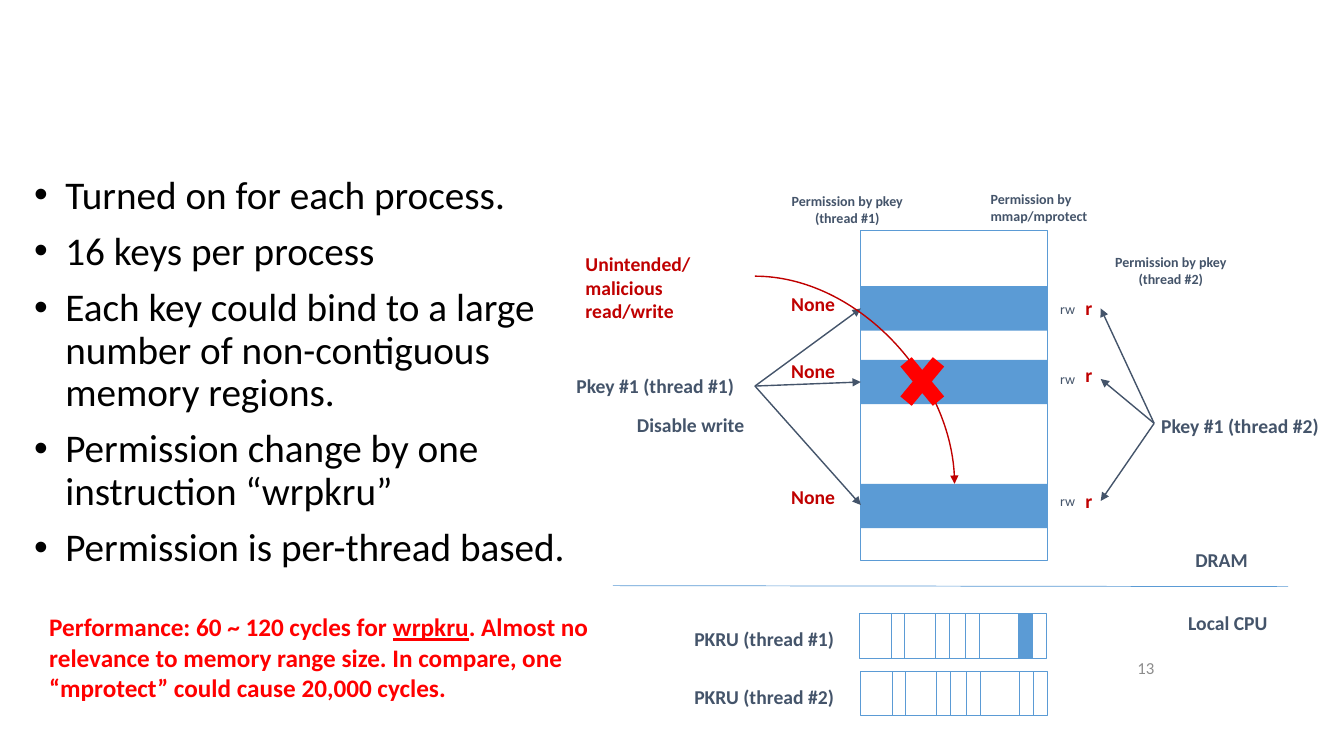
from dataclasses import dataclass

from lxml import etree
from pptx import Presentation
from pptx.dml.color import RGBColor
from pptx.enum.shapes import MSO_CONNECTOR, MSO_SHAPE
from pptx.enum.text import MSO_ANCHOR, MSO_AUTO_SIZE, PP_ALIGN
from pptx.oxml.ns import qn
from pptx.util import Inches, Pt

STRAIGHT, CURVE = MSO_CONNECTOR.STRAIGHT, MSO_CONNECTOR.CURVE
RECTANGLE, CROSS = MSO_SHAPE.RECTANGLE, MSO_SHAPE.MATH_MULTIPLY
MIDDLE = MSO_ANCHOR.MIDDLE
GROW, FIXED = MSO_AUTO_SIZE.SHAPE_TO_FIT_TEXT, MSO_AUTO_SIZE.NONE
LEFT, CENTER, RIGHT = PP_ALIGN.LEFT, PP_ALIGN.CENTER, PP_ALIGN.RIGHT

COLORS = {
    "black": "000000", "white": "FFFFFF", "gray": "8C8C8C", "slate": "44546A",
    "blue": "5B9BD5", "crimson": "C00000", "red": "FF0000",
}
FONT = "Calibri"
COLUMNS, ROWS = 160, 90
SLIDE_WIDTH, SLIDE_HEIGHT = Inches(13.33), Inches(7.5)
INDENT = Inches(0.31)


@dataclass(frozen=True)
class Area:
    """Cell range: left column, top row, columns wide, rows high."""
    left: float
    top: float
    width: float
    height: float


@dataclass(frozen=True)
class Label:
    """Text with one style; each line is a paragraph."""
    area: Area
    lines: tuple[str, ...]
    size: int = 14
    color: str = "slate"
    bold: bool = True
    align: PP_ALIGN = LEFT
    underlined: str = ""
    bullets: bool = False


@dataclass(frozen=True)
class Region:
    """Top rows of a protected memory region and of its labels and arrow ends."""
    band: float
    mapping: float
    denied: float
    readable: float
    first_tip: float
    second_tip: float


@dataclass(frozen=True)
class Register:
    """Key register, with the columns of its slots and the filled one."""
    left: float
    top: float
    active_slot: int | None


@dataclass(frozen=True)
class Slot:
    """Key slot as an offset and a width in columns."""
    offset: float
    width: float
    fill: str | None = None


REGIONS = (
    Region(34.08, 35.16, 34.2, 34.68, 36.72, 36.72),
    Region(42.84, 43.56, 42.12, 42.6, 45.48, 45.12),
    Region(57.6, 58.08, 57.12, 57.6, 60.12, 59.64),
)
MEMORY = Area(102.48, 27.48, 22.2, 39.24)
BAND_HEIGHT = 5.28
FIRST_KEY, SECOND_KEY = (89.88, 45.96), (137.4, 50.4)
SECOND_TIP_COLUMN = 131.04

REGISTERS = (Register(102.36, 73.08, 3), Register(102.48, 79.92, None))
SLOTS = (Slot(9, 1.68), Slot(3.72, 1.56), Slot(12.6, 1.68, "white"), Slot(18.84, 1.68))

LABELS = (
    Label(Area(2.88, 20.28, 67.2, 49.56), (
        "Turned on for each process.",
        "16 keys per process",
        "Each key could bind to a large number of non-contiguous memory regions.",
        "Permission change by one instruction “wrpkru”",
        "Permission is per-thread based.",
    ), 28, "black", False, bullets=True),
    Label(Area(67.44, 43.92, 22.32, 4.08), ("Pkey #1 (thread #1)",)),
    Label(Area(137.04, 48.72, 22.32, 4.08), ("Pkey #1 (thread #2)",)),
    Label(Area(74.64, 48.6, 18.36, 4.08), ("Disable write",)),
    Label(Area(68.52, 29.4, 21.36, 6.84), ("Unintended/malicious read/write",), color="crimson"),
    Label(Area(116.76, 22.08, 15.84, 5.28), ("Permission by", "mmap/mprotect"), 10),
    Label(Area(92.52, 22.32, 16.68, 5.28), ("Permission by pkey", "(thread #1)"), 10, align=CENTER),
    Label(Area(131.04, 29.64, 16.68, 5.28), ("Permission by pkey", "(thread #2)"), 10, align=CENTER),
    Label(Area(141.12, 64.68, 13.08, 4.08), ("DRAM",)),
    Label(Area(140.28, 72.12, 13.08, 4.08), ("Local CPU",)),
    Label(Area(81.48, 74.04, 20.88, 4.08), ("PKRU (thread #1)",)),
    Label(Area(81.48, 81, 20.88, 4.08), ("PKRU (thread #2)",)),
    Label(Area(4.68, 72.24, 73.2, 12.12), (
        "Performance: 60 ~ 120 cycles for wrpkru. Almost no relevance to memory "
        "range size. In compare, one “mprotect” could cause 20,000 cycles.",
    ), 18, "red", underlined="wrpkru"),
)
PAGE_NUMBER = Label(Area(102.6, 77.16, 36, 4.8), ("13",), 12, "gray", False, RIGHT)


def rgb(name: str) -> RGBColor:
    return RGBColor.from_string(COLORS[name])


def across(columns: float) -> int:
    return round(SLIDE_WIDTH * columns / COLUMNS)


def down(rows: float) -> int:
    return round(SLIDE_HEIGHT * rows / ROWS)


def place(area: Area) -> tuple[int, int, int, int]:
    return across(area.left), down(area.top), across(area.width), down(area.height)


def add_bullet(paragraph) -> None:
    properties = paragraph._p.get_or_add_pPr()
    properties.set("marL", str(INDENT))
    properties.set("indent", str(-INDENT))
    etree.SubElement(properties, qn("a:buFont")).set("typeface", "Arial")
    etree.SubElement(properties, qn("a:buChar")).set("char", "•")


def add_label(shapes, label: Label):
    frame = shapes.add_textbox(*place(label.area)).text_frame
    frame.word_wrap = True
    frame.auto_size = FIXED if label.bullets else GROW
    for index, line in enumerate(label.lines):
        paragraph = frame.add_paragraph() if index else frame.paragraphs[0]
        paragraph.alignment = label.align
        if label.bullets:
            add_bullet(paragraph)
            paragraph.line_spacing = 0.9
            paragraph.space_before = Pt(10 if index else 0)
        pieces = line.partition(label.underlined) if label.underlined else (line,)
        for piece in pieces:
            run = paragraph.add_run()
            run.text = piece
            run.font.name, run.font.size, run.font.bold = FONT, Pt(label.size), label.bold
            run.font.color.rgb = rgb(label.color)
            if piece == label.underlined:
                run.font.underline = True
    return frame


def add_block(shapes, area: Area, fill: str | None = None, line: str | None = None,
              kind: MSO_SHAPE = RECTANGLE) -> None:
    block = shapes.add_shape(kind, *place(area))
    block.shadow.inherit = False
    if fill:
        block.fill.solid()
        block.fill.fore_color.rgb = rgb(fill)
    else:
        block.fill.background()
    if line:
        block.line.color.rgb = rgb(line)
        block.line.width = Pt(0.5)
    else:
        block.line.fill.background()


def add_link(shapes, start: tuple[float, float], end: tuple[float, float], color: str = "slate",
             width: float = 1, kind: MSO_CONNECTOR = STRAIGHT, arrow: bool = True) -> None:
    link = shapes.add_connector(kind, across(start[0]), down(start[1]), across(end[0]), down(end[1]))
    link.line.color.rgb = rgb(color)
    link.line.width = Pt(width)
    properties = link._element.spPr
    if arrow:
        etree.SubElement(properties.find(qn("a:ln")), qn("a:tailEnd")).set("type", "triangle")
    if kind == CURVE:
        properties.find(qn("a:prstGeom")).set("prst", "curvedConnector2")
    etree.SubElement(properties, qn("a:effectLst"))


def main() -> None:
    """Build the memory protection key slide."""
    deck = Presentation()
    deck.slide_width, deck.slide_height = SLIDE_WIDTH, SLIDE_HEIGHT
    shapes = deck.slides.add_slide(deck.slide_layouts[6]).shapes
    for region in REGIONS:
        add_block(shapes, Area(MEMORY.left, region.band, MEMORY.width, BAND_HEIGHT), "blue")
    add_block(shapes, MEMORY, line="blue")
    for region in REGIONS:
        add_label(shapes, Label(Area(125.04, region.mapping, 5.88, 3.24), ("rw",), 10, bold=False))
        add_label(shapes, Label(Area(93, region.denied, 9.24, 4.08), ("None",), color="crimson"))
        add_label(shapes, Label(Area(128.04, region.readable, 5.88, 4.08), ("r",), color="crimson"))
        add_link(shapes, FIRST_KEY, (MEMORY.left, region.first_tip))
        add_link(shapes, SECOND_KEY, (SECOND_TIP_COLUMN, region.second_tip))
    add_link(shapes, (89.88, 32.88), (113.64, 57.6), "crimson", kind=CURVE)
    add_block(shapes, Area(106.08, 40.92, 7.44, 9), "red", kind=CROSS)
    add_link(shapes, (153.36, 69.84), (72.96, 69.72), "blue", 0.5, arrow=False)
    for register in REGISTERS:
        add_block(shapes, Area(register.left, register.top, MEMORY.width, BAND_HEIGHT), line="blue")
        for index, slot in enumerate(SLOTS):
            fill = "blue" if index == register.active_slot else slot.fill
            cell = Area(register.left + slot.offset, register.top, slot.width, BAND_HEIGHT)
            add_block(shapes, cell, fill, "blue")
    for label in LABELS:
        add_label(shapes, label)
    add_label(shapes, PAGE_NUMBER).vertical_anchor = MIDDLE
    deck.save("out.pptx")


if __name__ == "__main__":
    main()
